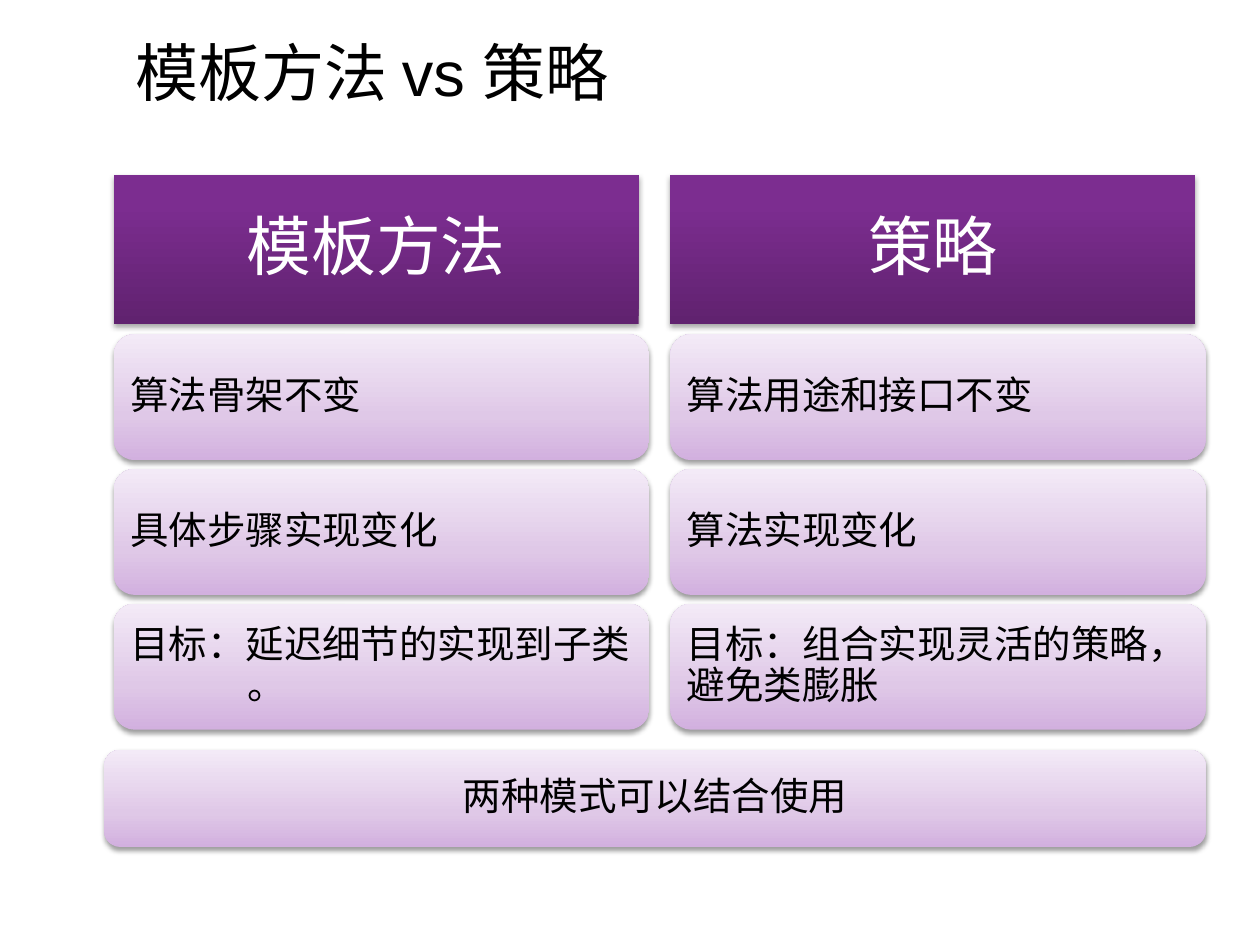
from dataclasses import dataclass

from lxml.etree import SubElement
from pptx import Presentation
from pptx.dml.color import RGBColor as RGB
from pptx.enum.shapes import MSO_SHAPE as Kind
from pptx.enum.text import MSO_ANCHOR as Anchor, PP_ALIGN as Align
from pptx.oxml.ns import qn
from pptx.util import Pt


@dataclass(frozen=True)
class Theme:
    font: str = "Arial"
    dark: str = "000000"
    light: str = "FFFFFF"
    # Gradient stops run from bottom to top: (percent, colour)
    deep: tuple = ((0, "60226F"), (80, "7C2D90"), (100, "7E2B93"))
    pale: tuple = ((0, "D2B0DF"), (35, "DFC8E7"), (100, "F3EAF7"))
    title: int = 36
    head: int = 37
    body: int = 22


class Deck:
    def __init__(self, theme):
        self.theme = theme
        self.deck = Presentation()
        self.deck.slide_width, self.deck.slide_height = Pt(720), Pt(540)
        self.slide = self.deck.slides.add_slide(self.deck.slide_layouts[6])

    def label(self, shape, text, size, color, align, inset, lead=0.9):
        frame = shape.text_frame
        frame.word_wrap = True
        frame.vertical_anchor = Anchor.MIDDLE
        frame.margin_left = frame.margin_right = Pt(inset)
        frame.margin_top = frame.margin_bottom = Pt(inset)
        para = frame.paragraphs[0]
        para.text = text
        para.alignment = align
        para.line_spacing = lead
        if "\t" in text:
            tabs = SubElement(para._p.get_or_add_pPr(), qn("a:tabLst"))
            SubElement(tabs, qn("a:tab"), pos=str(Pt(67)), algn="l")
        para.font.name = self.theme.font
        para.font.size = Pt(size)
        para.font.color.rgb = RGB.from_string(color)

    def title(self, text, x, y, w, h):
        box = self.slide.shapes.add_textbox(Pt(x), Pt(y), Pt(w), Pt(h))
        self.label(box, text, self.theme.title, self.theme.dark,
                   Align.LEFT, 7.2, 1.0)

    def block(self, kind, x, y, w, h, stops, alpha):
        shape = self.slide.shapes.add_shape(kind, Pt(x), Pt(y), Pt(w), Pt(h))
        shape.line.fill.background()
        # Three-stop gradient, upwards
        shape.fill.gradient()
        shape.fill.gradient_angle = 90
        props = shape._element.spPr
        grad = props.find(".//" + qn("a:gsLst"))
        for old in list(grad):
            grad.remove(old)
        for spot, color in stops:
            stop = SubElement(grad, qn("a:gs"), pos=str(spot * 1000))
            SubElement(stop, qn("a:srgbClr"), val=color)
        # Soft shadow straight below
        shape.shadow.inherit = False
        drop = SubElement(props.find(qn("a:effectLst")), qn("a:outerShdw"),
                          blurRad=str(Pt(3.1)), dist=str(Pt(1.7)),
                          dir="5400000", rotWithShape="0")
        tint = SubElement(drop, qn("a:srgbClr"), val="000000")
        SubElement(tint, qn("a:alpha"), val=str(alpha * 1000))
        return shape

    def head(self, text, x, y, w, h):
        shape = self.block(Kind.RECTANGLE, x, y, w, h, self.theme.deep, 35)
        self.label(shape, text, self.theme.head, self.theme.light,
                   Align.CENTER, 20)

    def card(self, text, x, y, w, h, align=Align.LEFT):
        shape = self.block(Kind.ROUNDED_RECTANGLE, x, y, w, h,
                           self.theme.pale, 38)
        self.label(shape, text, self.theme.body, self.theme.dark, align, 6)


def main():
    page = Deck(Theme())
    page.title("模板方法 vs 策略", 70.5, 9.5, 649, 62.5)

    # Two columns: a head above three cards
    table = {
        "模板方法": ["算法骨架不变", "具体步骤实现变化",
                 "目标：延迟细节的实现到子类\v\t。"],
        "策略": ["算法用途和接口不变", "算法实现变化",
               "目标：组合实现灵活的策略，避免类膨胀"],
    }
    for col, (name, points) in enumerate(table.items()):
        x = 65 + 318 * col
        for row, point in enumerate(points):
            page.card(point, x, 191 + 77 * row, 306, 72)
        page.head(name, x, 100, 300, 85)

    # Closing bar
    page.card("两种模式可以结合使用", 59.5, 428.5, 629.5, 55.5, Align.CENTER)
    page.deck.save("out.pptx")


if __name__ == "__main__":
    main()
